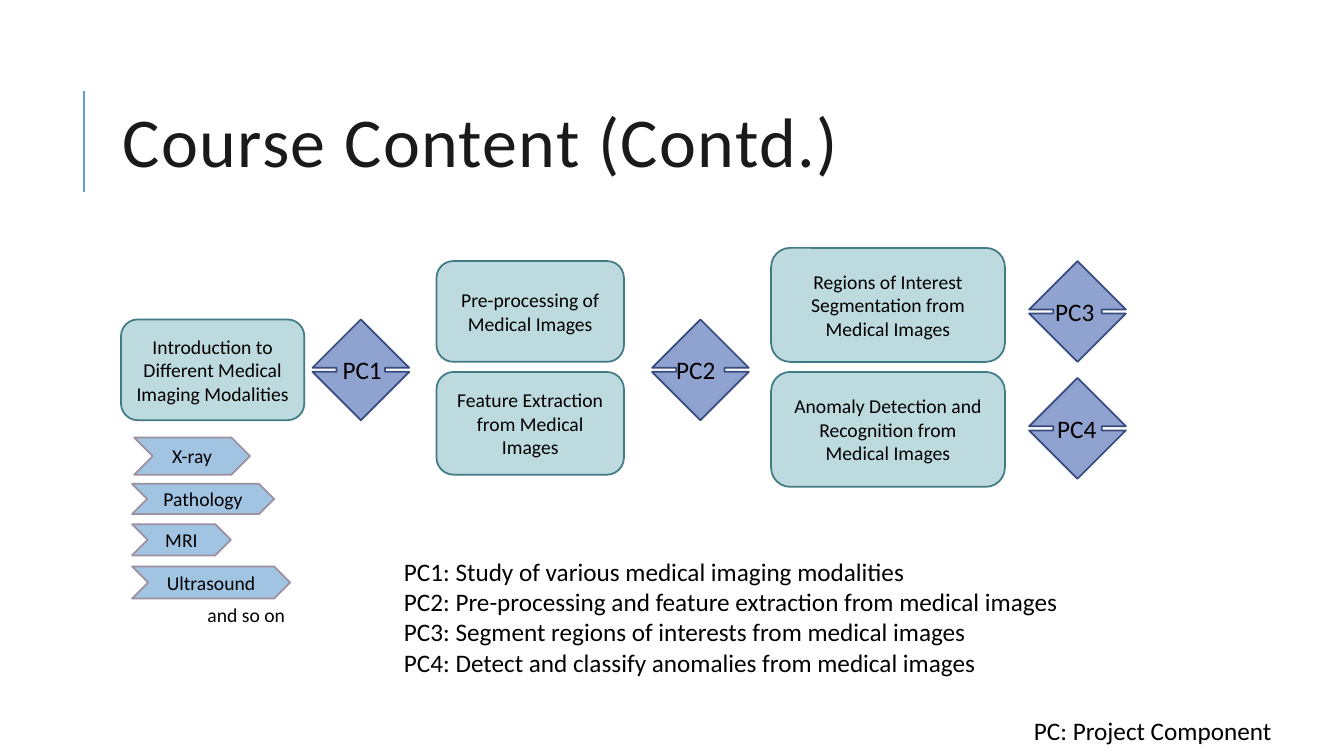
from dataclasses import dataclass

import pptx
import pptx.dml.color
import pptx.enum.shapes
import pptx.enum.text
import pptx.oxml.ns
import pptx.util
from lxml import etree

Pt = pptx.util.Pt
Shape = pptx.enum.shapes.MSO_SHAPE
Align = pptx.enum.text.PP_ALIGN
Anchor = pptx.enum.text.MSO_ANCHOR


@dataclass(frozen=True)
class Theme:
    font: str = "Calibri"
    title_size: float = 50
    note_size: float = 18
    label_size: float = 14
    title_color: str = "1A1A1A"
    text_color: str = "000000"
    accent: str = "629DD1"
    topic_fill: str = "BDDADF"
    topic_line: str = "417B85"
    modality_fill: str = "A1C4E3"
    modality_line: str = "9D90A0"
    project_fill: str = "90A2CF"
    project_line: str = "374B7F"
    accent_width: float = 1.5
    outline_width: float = 1.25


@dataclass(frozen=True)
class Area:
    left: float
    top: float
    width: float
    height: float


@dataclass(frozen=True)
class Block:
    text: str
    area: Area


@dataclass(frozen=True)
class Project:
    name: str
    left: float
    top: float
    label_shift: float
    label_width: float


THEME = Theme()

TOPICS = [
    Block("Introduction to Different Medical Imaging Modalities", Area(86.4, 228.2, 131, 72)),
    Block("Pre-processing of Medical Images", Area(311.8, 186.5, 133.9, 72)),
    Block("Feature Extraction from Medical Images", Area(311.8, 265.7, 133.9, 73.4)),
    Block("Anomaly Detection and Recognition from Medical Images", Area(550.8, 265.7, 167, 82.1)),
    Block("Regions of Interest Segmentation from Medical Images", Area(550.8, 177.1, 167, 81.4)),
]
MODALITIES = [
    Block("X-ray", Area(95.8, 312.5, 82.8, 26.6)),
    Block("Pathology", Area(94.3, 345.6, 101.5, 21.6)),
    Block("MRI", Area(94.3, 374.4, 70.6, 22.3)),
    Block("Ultrasound", Area(94.3, 404.6, 113, 23)),
]
PROJECTS = [
    Project("PC1", 223.2, 228.2, 14.4, 44.6),
    Project("PC2", 465.8, 228.2, 10.1, 48.2),
    Project("PC3", 735.1, 186.5, 11.5, 48.2),
    Project("PC4", 735.1, 270, 13, 54.7),
]
PROJECT_WIDTH, PROJECT_HEIGHT = 69.1, 72
LABEL_DROP, LABEL_HEIGHT = 21.6, 28.8
LEGEND = [
    "PC1: Study of various medical imaging modalities",
    "PC2: Pre-processing and feature extraction from medical images",
    "PC3: Segment regions of interests from medical images",
    "PC4: Detect and classify anomalies from medical images",
]


def rgb(value: str) -> pptx.dml.color.RGBColor:
    return pptx.dml.color.RGBColor.from_string(value)


def lengths(area: Area) -> tuple:
    return Pt(area.left), Pt(area.top), Pt(area.width), Pt(area.height)


def write(box, lines: list[str], size: float, color: str = THEME.text_color,
          align=Align.LEFT, anchor=Anchor.TOP) -> None:
    frame = box.text_frame
    frame.word_wrap = True
    frame.vertical_anchor = anchor
    for number, line in enumerate(lines):
        para = frame.add_paragraph() if number else frame.paragraphs[0]
        para.alignment = align
        span = para.add_run()
        span.text = line
        span.font.name = THEME.font
        span.font.size = Pt(size)
        span.font.color.rgb = rgb(color)


def add_text(page, lines: list[str], area: Area, size: float):
    box = page.shapes.add_textbox(*lengths(area))
    write(box, lines, size)
    return box


def add_figure(page, kind, area: Area, fill: str, line: str):
    figure = page.shapes.add_shape(kind, *lengths(area))
    figure.shadow.inherit = False
    figure.fill.solid()
    figure.fill.fore_color.rgb = rgb(fill)
    figure.line.color.rgb = rgb(line)
    figure.line.width = Pt(THEME.outline_width)
    return figure


def add_blocks(page, blocks: list[Block], kind, fill: str, line: str) -> None:
    for block in blocks:
        figure = add_figure(page, kind, block.area, fill, line)
        write(figure, [block.text], THEME.label_size, align=Align.CENTER, anchor=Anchor.MIDDLE)


def add_project(page, project: Project) -> None:
    area = Area(project.left, project.top, PROJECT_WIDTH, PROJECT_HEIGHT)
    add_figure(page, Shape.UP_DOWN_ARROW, area, THEME.project_fill, THEME.project_line)
    label = Area(project.left + project.label_shift, project.top + LABEL_DROP,
                 project.label_width, LABEL_HEIGHT)
    add_text(page, [project.name], label, THEME.note_size)


def add_title(page, text: str) -> None:
    # Accent rule beside the title
    rule = page.shapes.add_connector(pptx.enum.shapes.MSO_CONNECTOR.STRAIGHT,
                                     Pt(59.8), Pt(136.8), Pt(59.8), Pt(64.8))
    rule.line.color.rgb = rgb(THEME.accent)
    rule.line.width = Pt(THEME.accent_width)
    etree.SubElement(rule._element.spPr, pptx.oxml.ns.qn("a:effectLst"))

    box = page.shapes.add_textbox(*lengths(Area(80.6, 46.1, 765.4, 118.1)))
    write(box, [text], THEME.title_size, THEME.title_color, anchor=Anchor.MIDDLE)
    para = box.text_frame.paragraphs[0]
    para.line_spacing = 0.8
    # Letter spacing of one point
    para.runs[0].font._element.set("spc", "100")


def main() -> None:
    deck = pptx.Presentation()
    deck.slide_width, deck.slide_height = Pt(960), Pt(540)
    page = deck.slides.add_slide(deck.slide_layouts[6])

    add_title(page, "Course Content (Contd.)")

    # Course topics and imaging modalities
    add_blocks(page, TOPICS, Shape.ROUNDED_RECTANGLE, THEME.topic_fill, THEME.topic_line)
    add_blocks(page, MODALITIES, Shape.CHEVRON, THEME.modality_fill, THEME.modality_line)
    add_text(page, ["and so on"], Area(141.1, 427, 77.8, 24.5), THEME.label_size)

    # Project components
    for project in PROJECTS:
        add_project(page, project)

    # Legend and abbreviation
    add_text(page, LEGEND, Area(281.5, 393.8, 563.8, 94.3), THEME.note_size)
    add_text(page, ["PC: Project Component"], Area(731.5, 507.6, 228.2, 28.8), THEME.note_size)

    deck.save("out.pptx")


if __name__ == "__main__":
    main()
